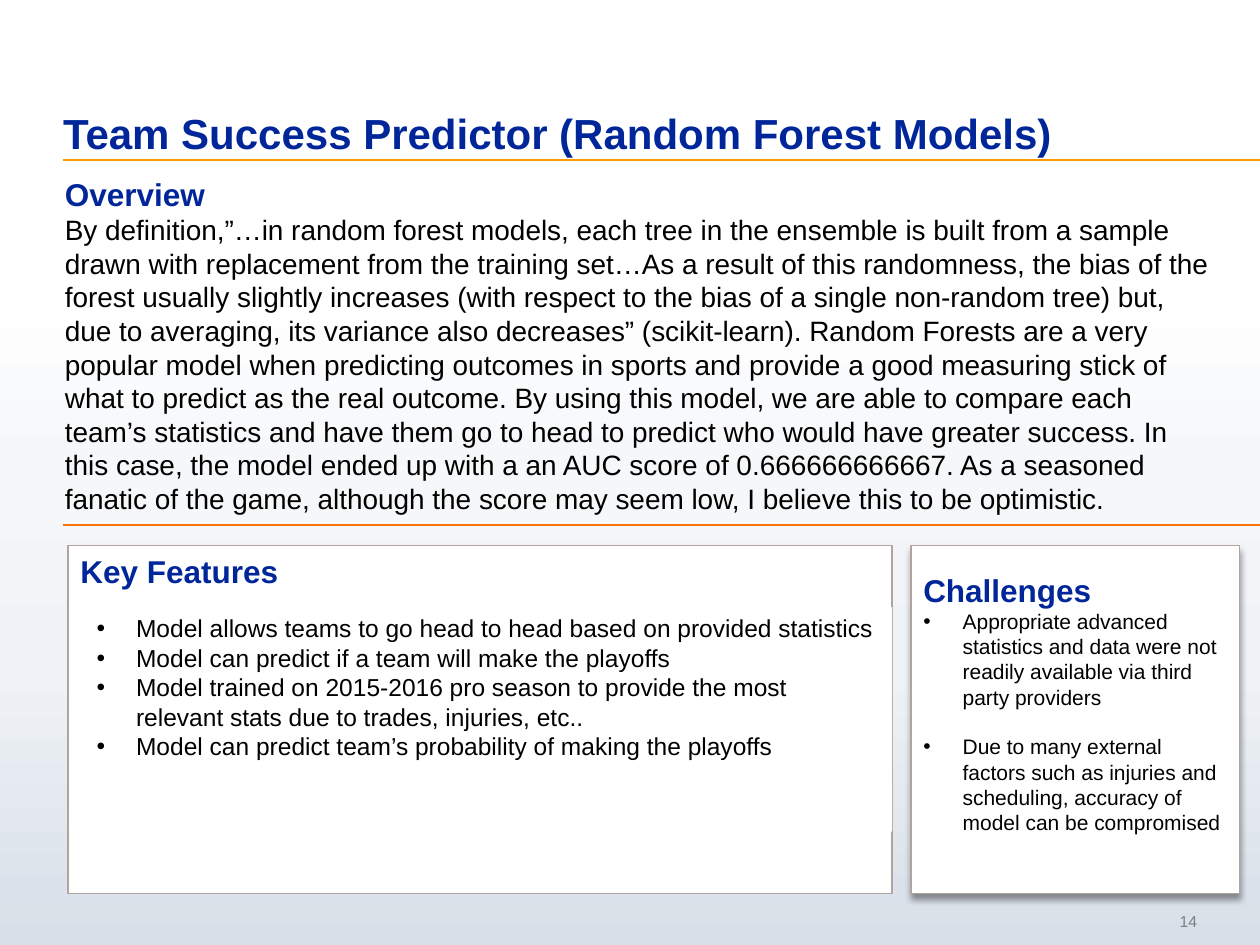
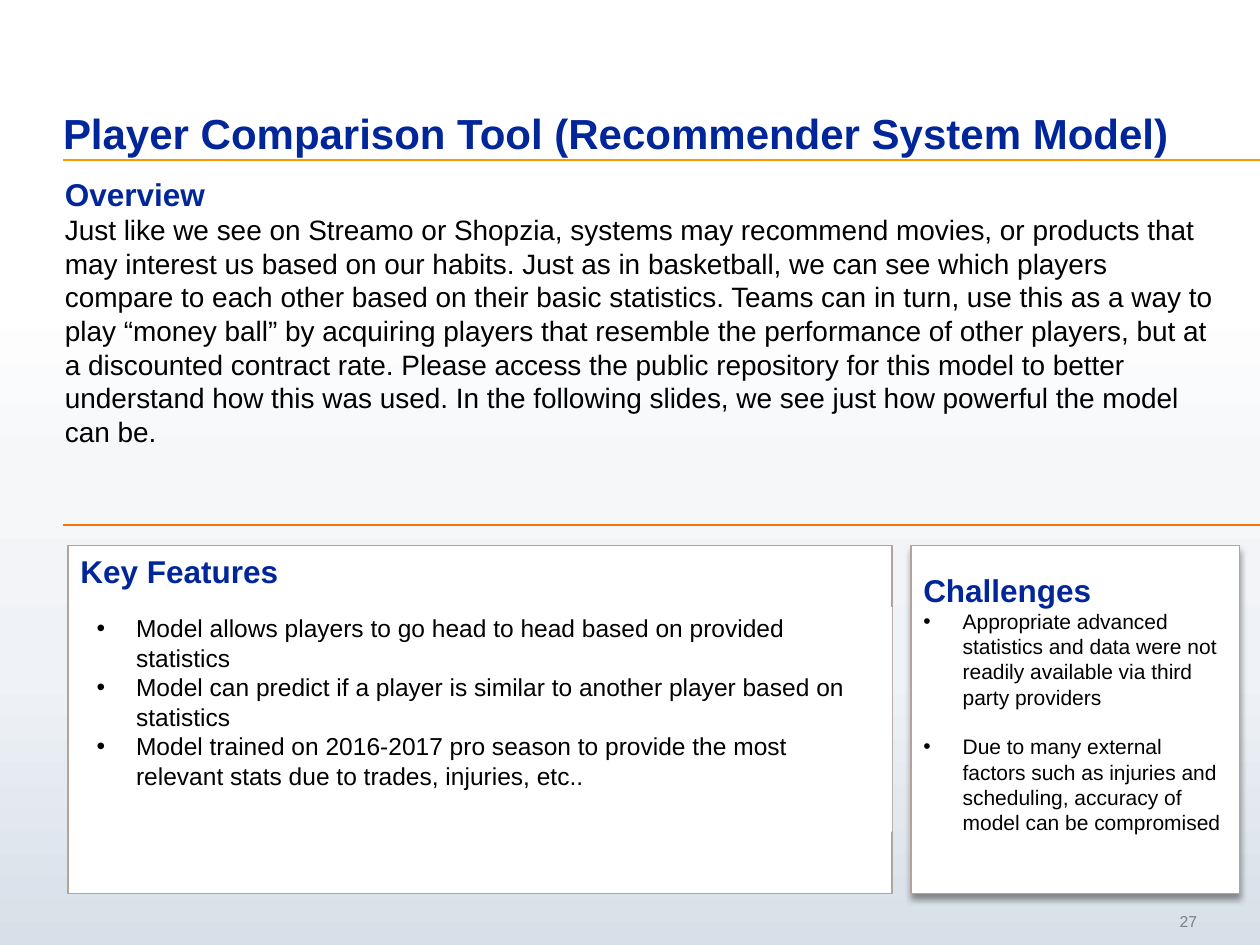
"""Build two model overview slides with a shared title, overview and panel design."""
from collections import namedtuple

from lxml.etree import SubElement
from pptx import Presentation
from pptx.dml.color import RGBColor as Color
from pptx.enum.shapes import MSO_CONNECTOR as Connector, MSO_SHAPE as Preset
from pptx.enum.text import MSO_ANCHOR as Anchor, PP_ALIGN as Align
from pptx.oxml.ns import qn
from pptx.util import Pt

Box = namedtuple("Box", "left top width height")

FONT = "Arial"
COLORS = {
    "heading": "002699",
    "body": "000000",
    "number": "7F7F7F",
    "title_rule": "FF9900",
    "section_rule": "F97407",
    "panel": "FFFFFF",
    "panel_border": "B1A39E",
    "shadow": "000000",
}
BACKGROUND_STOPS = [(31, "FFFFFF"), (50, "F5F7F9"), (71, "EFF2F6"), (100, "D7DFE8")]

PAGE_WIDTH, PAGE_HEIGHT = 720, 540
MARGIN = 36
INSET_X, INSET_Y = 7.2, 3.6
BULLET_INDENT = 22.5
TITLE_BOX = Box(MARGIN, 12.24, 666, 77.76)
OVERVIEW_BOX = Box(30, 96.5, 672, 203.75)
FEATURES_BOX = Box(38.9, 311.8, 470.9, 198.7)
CHALLENGES_BOX = Box(520.5, 311.8, 187.9, 198.7)
NUMBER_BOX = Box(641.5, 517, 42.5, 19.4)
TITLE_RULE_Y, SECTION_RULE_Y = 91.44, 300

CHALLENGES = [
    "Appropriate advanced statistics and data were not readily available via third party providers",
    "Due to many external factors such as injuries and scheduling, accuracy of model can be compromised",
]
SLIDES = [
    {
        "title": "Team Success Predictor (Random Forest Models)",
        "number": "14",
        "overview": (
            "By definition,”…in random forest models, each tree in the ensemble is built from a sample "
            "drawn with replacement from the training set…As a result of this randomness, the bias of "
            "the forest usually slightly increases (with respect to the bias of a single non-random "
            "tree) but, due to averaging, its variance also decreases” (scikit-learn). Random Forests "
            "are a very popular model when predicting outcomes in sports and provide a good measuring "
            "stick of what to predict as the real outcome. By using this model, we are able to compare "
            "each team’s statistics and have them go to head to predict who would have greater success. "
            "In this case, the model ended up with a an AUC score of 0.666666666667. As a seasoned "
            "fanatic of the game, although the score may seem low, I believe this to be optimistic."
        ),
        "features": [
            "Model allows teams to go head to head based on provided statistics",
            "Model can predict if a team will make the playoffs",
            "Model trained on 2015-2016 pro season to provide the most relevant stats due to trades, "
            "injuries, etc..",
            "Model can predict team’s probability of making the playoffs",
        ],
    },
    {
        "title": "Player Comparison Tool (Recommender System Model)",
        "number": "27",
        "overview": (
            "Just like we see on Streamo or Shopzia, systems may recommend movies, or products that may "
            "interest us based on our habits. Just as in basketball, we can see which players compare "
            "to each other based on their basic statistics. Teams can in turn, use this as a way to "
            "play “money ball” by acquiring players that resemble the performance of other players, but "
            "at a discounted contract rate. Please access the public repository for this model to "
            "better understand how this was used. In the following slides, we see just how powerful the "
            "model can be."
        ),
        "features": [
            "Model allows players to go head to head based on provided statistics",
            "Model can predict if a player is similar to another player based on statistics",
            "Model trained on 2016-2017 pro season to provide the most relevant stats due to trades, "
            "injuries, etc..",
        ],
    },
]


def points(box):
    return [Pt(length) for length in box]


def prepare_frame(shape, inset_x=INSET_X, inset_y=INSET_Y, anchor=Anchor.TOP):
    frame = shape.text_frame
    frame.word_wrap = True
    frame.vertical_anchor = anchor
    frame.margin_left = frame.margin_right = Pt(inset_x)
    frame.margin_top = frame.margin_bottom = Pt(inset_y)
    return frame


def add_bullet(para):
    properties = para._p.get_or_add_pPr()
    properties.set("marL", str(Pt(BULLET_INDENT)))
    properties.set("indent", str(-Pt(BULLET_INDENT)))
    SubElement(properties, qn("a:buFont")).set("typeface", FONT)
    SubElement(properties, qn("a:buChar")).set("char", "•")


def write(frame, text, size, color="body", bold=False, bullet=False,
          align=Align.LEFT, line_spacing=None, space_before=0):
    para = frame.paragraphs[0] if not frame.text else frame.add_paragraph()
    if bullet:
        add_bullet(para)
    para.alignment = align
    if line_spacing:
        para.line_spacing = line_spacing
    if space_before:
        para.space_before = Pt(space_before)
    span = para.add_run()
    span.text = text
    span.font.name = FONT
    span.font.size = Pt(size)
    span.font.bold = bold
    span.font.color.rgb = Color.from_string(COLORS[color])


def write_heading(frame, text, **layout):
    write(frame, text, 18, color="heading", bold=True, **layout)


def paint_background(page):
    fill = page.background.fill
    fill.gradient()
    fill.gradient_angle = 270
    stops = page._element.find(".//" + qn("a:gsLst"))
    for stop in list(stops):
        stops.remove(stop)
    for position, color in BACKGROUND_STOPS:
        stop = SubElement(stops, qn("a:gs"), pos=str(position * 1000))
        SubElement(stop, qn("a:srgbClr"), val=color)


def add_rule(page, y, color):
    rule = page.shapes.add_connector(
        Connector.STRAIGHT, Pt(MARGIN), Pt(y), Pt(PAGE_WIDTH), Pt(y))
    rule.line.color.rgb = Color.from_string(COLORS[color])
    rule.line.width = Pt(1)
    SubElement(rule._element.spPr, qn("a:effectLst"))


def add_panel(page, box, border=True):
    panel = page.shapes.add_shape(Preset.RECTANGLE, *points(box))
    panel.shadow.inherit = False
    panel.fill.solid()
    panel.fill.fore_color.rgb = Color.from_string(COLORS["panel"])
    if border:
        panel.line.color.rgb = Color.from_string(COLORS["panel_border"])
        panel.line.width = Pt(0.75)
    else:
        panel.line.fill.background()
    return panel


def add_drop_shadow(panel):
    effects = panel._element.spPr.find(qn("a:effectLst"))
    shadow = SubElement(effects, qn("a:outerShdw"), blurRad=str(Pt(4)), dist=str(Pt(3)),
                        dir="5400000", rotWithShape="0")
    color = SubElement(shadow, qn("a:srgbClr"), val=COLORS["shadow"])
    SubElement(color, qn("a:alpha"), val="40000")


def add_title(page, box, text):
    frame = prepare_frame(page.shapes.add_textbox(*points(box)), 0, 0, Anchor.BOTTOM)
    write(frame, text, 24, color="heading", bold=True, line_spacing=Pt(26))


def add_page_number(page, box, text):
    frame = prepare_frame(page.shapes.add_textbox(*points(box)), 0, 0, Anchor.MIDDLE)
    write(frame, text, 9, color="number", align=Align.RIGHT)


def add_overview(page, box, text):
    frame = prepare_frame(page.shapes.add_textbox(*points(box)))
    write_heading(frame, "Overview")
    write(frame, text, 16)


def add_features(page, box, features):
    write_heading(prepare_frame(add_panel(page, box)), "Key Features")
    list_box = Box(box.left + 9.3, box.top + 35.2, box.width - 9.3, 128.2)
    frame = prepare_frame(add_panel(page, list_box, border=False))
    for feature in features:
        write(frame, feature, 14, bullet=True)


def add_challenges(page, box, challenges):
    panel = add_panel(page, box)
    add_drop_shadow(panel)
    frame = prepare_frame(panel)
    write_heading(frame, "Challenges", line_spacing=1.5)
    for index, challenge in enumerate(challenges):
        write(frame, challenge, 12, bullet=True, space_before=14 if index else 0)


def add_model_slide(deck, content):
    page = deck.slides.add_slide(deck.slide_layouts[6])
    paint_background(page)
    add_rule(page, TITLE_RULE_Y, "title_rule")
    add_page_number(page, NUMBER_BOX, content["number"])
    add_title(page, TITLE_BOX, content["title"])
    add_overview(page, OVERVIEW_BOX, content["overview"])
    add_features(page, FEATURES_BOX, content["features"])
    add_challenges(page, CHALLENGES_BOX, CHALLENGES)
    add_rule(page, SECTION_RULE_Y, "section_rule")


def main():
    deck = Presentation()
    deck.slide_width, deck.slide_height = Pt(PAGE_WIDTH), Pt(PAGE_HEIGHT)
    for content in SLIDES:
        add_model_slide(deck, content)
    deck.save("out.pptx")


if __name__ == "__main__":
    main()
